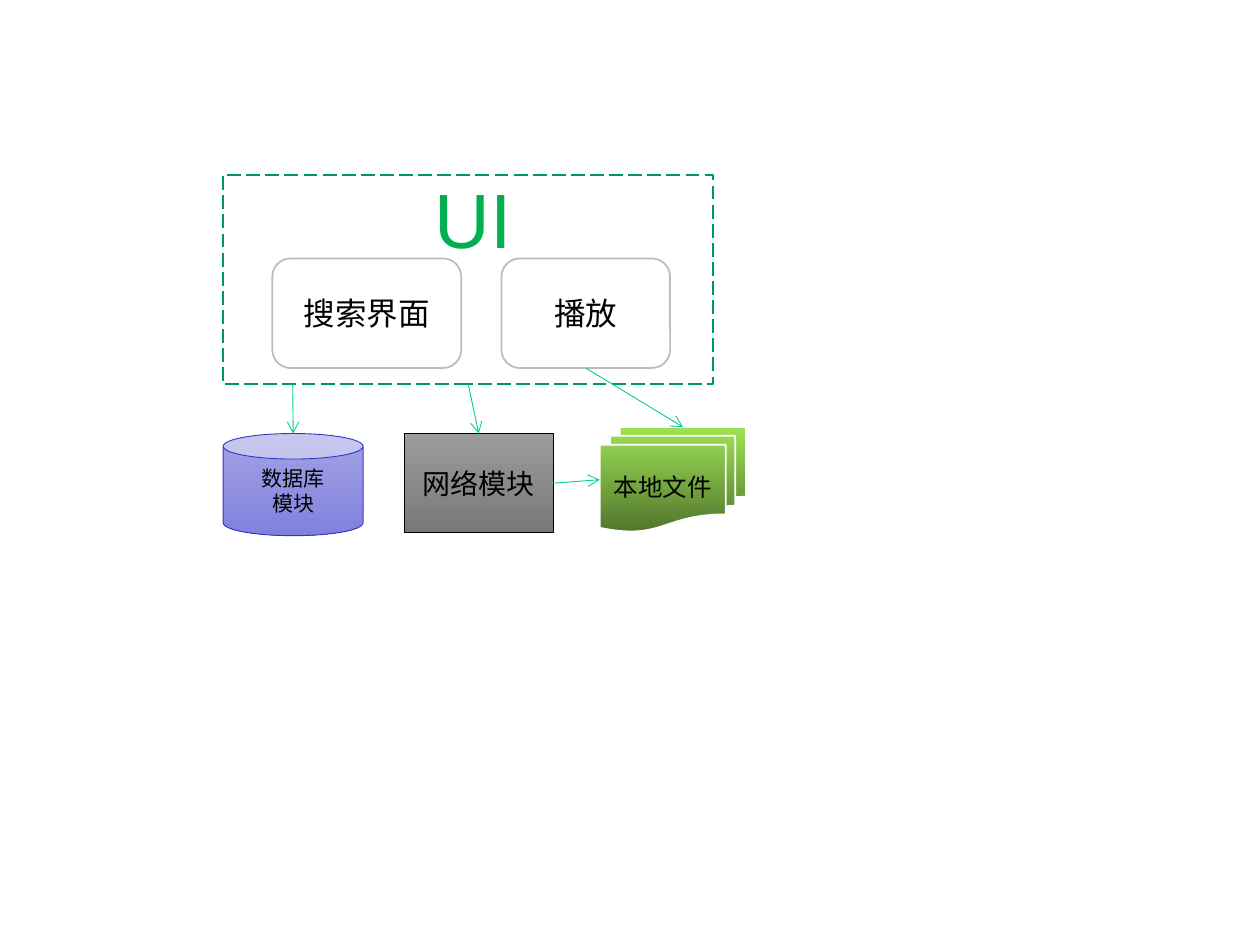
"""Build the module overview slide: UI, database, network and local files."""
from pptx import Presentation
from pptx.dml.color import RGBColor
from pptx.enum.dml import MSO_LINE_DASH_STYLE as Dash
from pptx.enum.shapes import MSO_CONNECTOR as Connector, MSO_SHAPE as Shape
from pptx.enum.text import MSO_ANCHOR as Anchor, PP_ALIGN as Align
from pptx.oxml.ns import qn
from pptx.util import Cm, Pt
from lxml.etree import SubElement

BLACK = RGBColor(0x00, 0x00, 0x00)
WHITE = RGBColor(0xFF, 0xFF, 0xFF)
SILVER = RGBColor(0xBC, 0xBC, 0xBC)
TEAL = RGBColor(0x00, 0x95, 0x6F)
MINT = RGBColor(0x00, 0xCC, 0x99)
GREEN = RGBColor(0x00, 0xB0, 0x50)
BLUE = RGBColor(0x33, 0x33, 0xCC)
GREY_FADE = (RGBColor(0x9B, 0x9B, 0x9B), RGBColor(0x79, 0x79, 0x79))
LEAF_FADE = (RGBColor(0x9E, 0xE2, 0x56), RGBColor(0x52, 0x76, 0x2D))
BLUE_FADE = (RGBColor(0xA3, 0xA3, 0xE4), RGBColor(0x81, 0x81, 0xDE))


class Diagram:
    """Hold the style and the current slide."""

    font_name = "Arial"

    def __init__(self, slide):
        self.slide = slide

    def set_values(self, target, values):
        for name, value in values.items():
            setattr(target, name, value)

    def fill_text(self, shape, lines, size, color, align):
        frame = shape.text_frame
        frame.text = "\n".join(lines)
        frame.word_wrap = True
        for paragraph in frame.paragraphs:
            paragraph.alignment = align
            self.set_values(paragraph.font, {"name": self.font_name, "size": Pt(size)})
            paragraph.font.color.rgb = color
        return frame

    def box(self, kind, place, fill, line, width=1, lines=(), size=18):
        shape = self.slide.shapes.add_shape(kind, *map(Cm, place))
        shape.shadow.inherit = False
        if isinstance(fill, tuple) and not isinstance(fill, RGBColor):
            shape.fill.gradient()
            shape.fill.gradient_angle = 270
            for stop, color in zip(shape.fill.gradient_stops, fill):
                stop.color.rgb = color
        else:
            shape.fill.solid()
            shape.fill.fore_color.rgb = fill
        shape.line.color.rgb = line
        shape.line.width = Pt(width)
        if lines:
            frame = self.fill_text(shape, lines, size, BLACK, Align.CENTER)
            frame.vertical_anchor = Anchor.MIDDLE
        return shape

    def label(self, place, text, size, color):
        shape = self.slide.shapes.add_textbox(*map(Cm, place))
        self.fill_text(shape, [text], size, color, Align.LEFT)

    def arrow(self, *ends):
        connector = self.slide.shapes.add_connector(Connector.STRAIGHT, *map(Cm, ends))
        connector.line.color.rgb = MINT
        connector.line.width = Pt(0.5)
        properties = connector._element.spPr
        SubElement(properties.find(qn("a:ln")), qn("a:tailEnd"), type="arrow")
        SubElement(properties, qn("a:effectLst"))


def main():
    presentation = Presentation()
    slide = presentation.slides.add_slide(presentation.slide_layouts[6])
    diagram = Diagram(slide)
    diagram.set_values(presentation, {"slide_width": Cm(25.4), "slide_height": Cm(19.05)})

    frame = diagram.box(Shape.RECTANGLE, (4.5, 3.53, 9.88, 4.22), WHITE, TEAL)
    frame.line.dash_style = Dash.LONG_DASH
    for left, width, text in ((5.49, 3.81, "搜索界面"), (10.11, 3.4, "播放")):
        diagram.box(Shape.ROUNDED_RECTANGLE, (left, 5.21, width, 2.21),
                    WHITE, SILVER, lines=[text])

    diagram.box(Shape.RECTANGLE, (8.15, 8.74, 3, 2), GREY_FADE, BLACK, 0.5,
                ["网络模块"], 16)
    diagram.box(Shape.FLOWCHART_MULTIDOCUMENT, (12.09, 8.61, 2.95, 2.11),
                LEAF_FADE, WHITE, 1, ["本地文件"], 14)
    diagram.box(Shape.CAN, (4.5, 8.74, 2.82, 2.06), BLUE_FADE, BLUE, 0.5,
                ["数据库", "模块"], 12)
    diagram.label((8.51, 3.33, 3.1, 2.13), "UI", 44, GREEN)

    for ends in (
        (5.9, 7.75, 5.91, 8.74),
        (9.44, 7.75, 9.65, 8.74),
        (11.15, 9.74, 12.09, 9.67),
        (11.81, 7.42, 13.77, 8.61),
    ):
        diagram.arrow(*ends)

    presentation.save("out.pptx")


if __name__ == "__main__":
    main()
